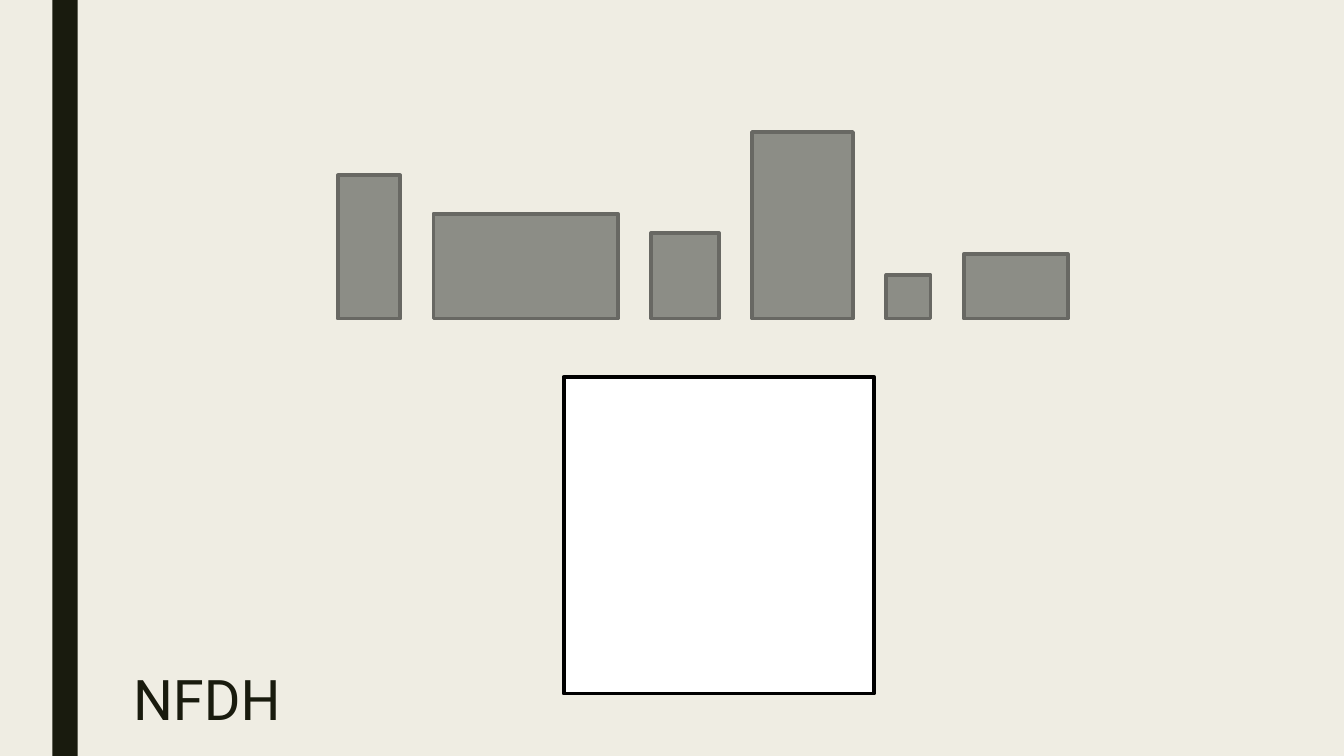
from pptx import Presentation
from pptx.dml.color import RGBColor
from pptx.enum.shapes import MSO_SHAPE
from pptx.enum.text import MSO_ANCHOR, PP_ALIGN
from pptx.util import Inches, Pt

COLORS = {
    "background": "EFEDE3",
    "dark": "191B0E",
    "item": "8C8D86",
    "item_line": "686863",
    "bin": "FFFFFF",
    "bin_line": "000000",
}

# Width and height of the items to pack, from left to right
ITEMS = [(0.62, 1.42), (1.83, 1.04), (0.67, 0.85),
         (1.0, 1.85), (0.44, 0.43), (1.03, 0.64)]
ITEMS_LEFT, ITEMS_BOTTOM, ITEM_GAP = 3.35, 3.16, 0.33


def color(name):
    return RGBColor.from_string(COLORS[name])


def add_rect(s, left, top, width, height, fill, line=None):
    sp = s.shapes.add_shape(MSO_SHAPE.RECTANGLE, Inches(left), Inches(top),
                            Inches(width), Inches(height))
    sp.shadow.inherit = False
    sp.fill.solid()
    sp.fill.fore_color.rgb = color(fill)
    if line:
        sp.line.color.rgb = color(line)
        sp.line.width = Pt(2.75)
    else:
        sp.line.fill.background()
    return sp


def set_title(s, text):
    sp = s.shapes.title
    sp.left, sp.top = Inches(1.22), Inches(6.62)
    sp.width, sp.height = Inches(9.82), Inches(0.8)
    tf = sp.text_frame
    tf.text = text
    tf.vertical_anchor = MSO_ANCHOR.TOP
    p = tf.paragraphs[0]
    p.alignment = PP_ALIGN.LEFT
    p.line_spacing = 0.89
    p.font.name = "Roboto"
    p.font.size = Pt(40)
    p.font.color.rgb = color("dark")


def add_items(s):
    left = ITEMS_LEFT
    for width, height in ITEMS:
        add_rect(s, left, ITEMS_BOTTOM - height, width, height,
                 "item", "item_line")
        left += width + ITEM_GAP


def main():
    prs = Presentation()
    prs.slide_width, prs.slide_height = Inches(13.33), Inches(7.5)
    s = prs.slides.add_slide(prs.slide_layouts.get_by_name("Title Only"))
    s.background.fill.solid()
    s.background.fill.fore_color.rgb = color("background")

    # Side bar and title
    add_rect(s, 0.52, 0, 0.25, 7.5, "dark")
    set_title(s, "NFDH")

    # Items above the empty bin
    add_items(s)
    add_rect(s, 5.59, 3.74, 3.08, 3.14, "bin", "bin_line")

    prs.save("out.pptx")


if __name__ == "__main__":
    main()
